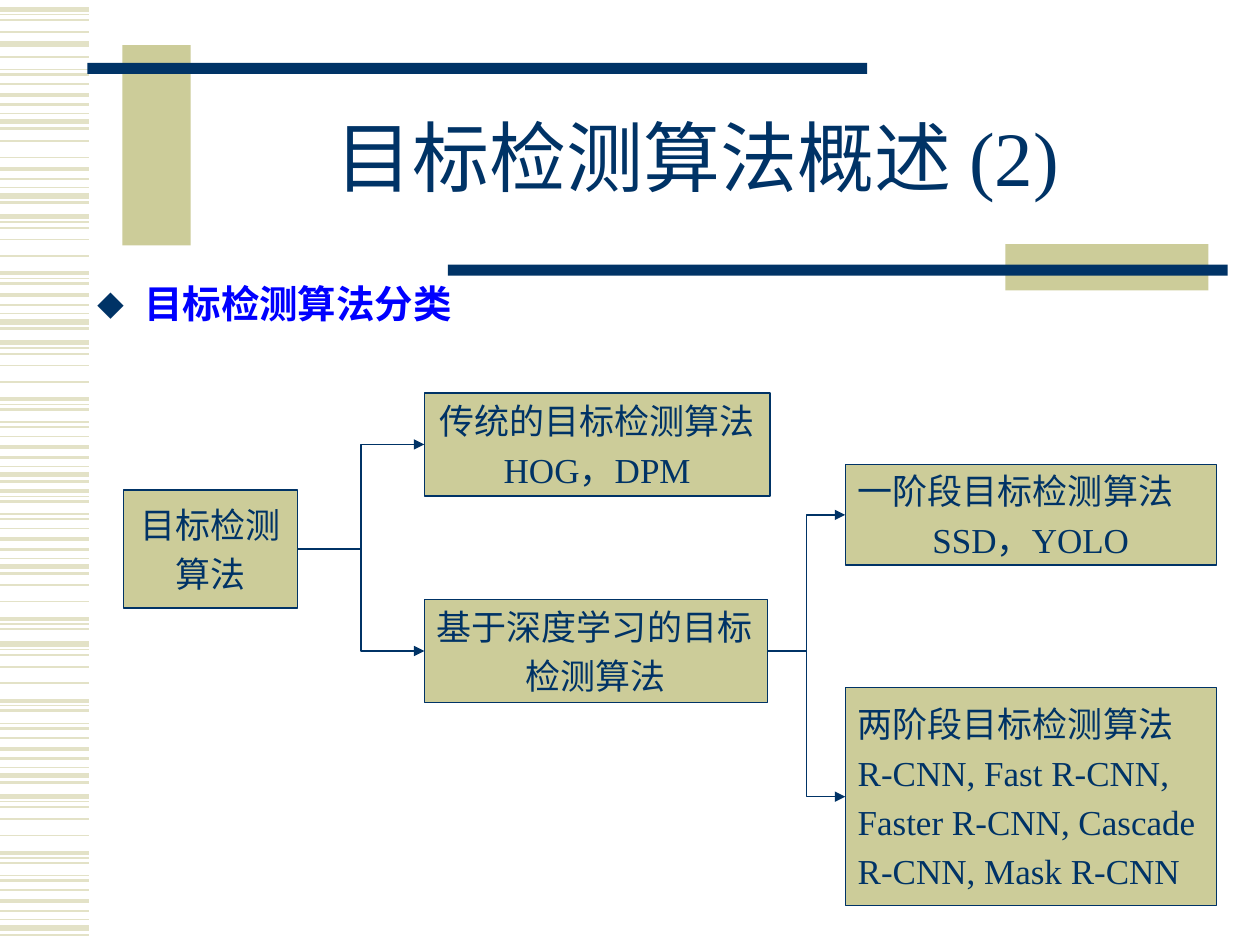
from lxml import etree
from pptx import Presentation
from pptx import util as u
from pptx.dml.color import RGBColor
from pptx.enum import shapes, text
from pptx.oxml.ns import qn

NAVY = RGBColor(0x00, 0x33, 0x66)
KHAKI = RGBColor(0xCC, 0xCC, 0x99)
PALE = RGBColor(0xE3, 0xE2, 0xC7)
BLUE = RGBColor(0x00, 0x00, 0xFF)
FONT = "Times New Roman"
Pt = u.Pt
LEFT, CENTER = text.PP_ALIGN.LEFT, text.PP_ALIGN.CENTER

TITLE = "目标检测算法概述 (2)"
HEADING = "目标检测算法分类"

BOXES = {
    "root": ((70.5, 280, 99.5, 67.5),
             [("目标检测", CENTER), ("算法", CENTER)]),
    "traditional": ((242.5, 224.5, 197.5, 59),
                    [("传统的目标检测算法", CENTER), ("HOG，DPM", CENTER)]),
    "deep": ((242.5, 342.5, 196, 59),
             [("基于深度学习的目标", LEFT), ("检测算法", CENTER)]),
    "one_stage": ((483, 265.5, 212, 57.5),
                  [("一阶段目标检测算法", LEFT), ("SSD，YOLO", CENTER)]),
    "two_stage": ((483, 393, 212, 124.5),
                  [("两阶段目标检测算法", LEFT), ("R-CNN, Fast R-CNN,", LEFT),
                   ("Faster R-CNN, Cascade", LEFT), ("R-CNN, Mask R-CNN", LEFT)]),
}
LINKS = [("root", "traditional"), ("root", "deep"),
         ("deep", "one_stage"), ("deep", "two_stage")]

BARS = [
    ((70, 25.75, 39, 114.5), KHAKI),
    ((50, 36, 445.5, 6.25), NAVY),
    ((574.5, 139.5, 116, 26.5), KHAKI),
    ((256, 151.25, 445.5, 6.25), NAVY),
]

# (offset, weight) of one stripe pattern, then (top, first, last) of each use
PATTERN = [(0, 3), (3, 0.75), (6.3, 1), (13, 1), (22.4, 1), (32.4, 2.25),
           (35.3, 0.75), (38.2, 1.5), (45.4, 0.75), (48.2, 1.5), (53.6, 1),
           (59.8, 2.25), (65.5, 1.5), (70.6, 0.75), (75.3, 3), (79.2, 1.5)]
STRIPES = [(5.3, 0, 3), (25.2, 0, 0), (-5.7, 7, 15), (67.6, 3, 4),
           (36.7, 11, 15), (123.8, 0, 7), (108.7, 11, 15), (195.8, 0, 15),
           (248.4, 5, 15), (321.3, 3, 7), (368, 0, 15), (455, 0, 15)]
STRIPE_WIDTH = 51


def place(sp, left, top, width, height):
    sp.left, sp.top, sp.width, sp.height = map(Pt, (left, top, width, height))


def add_run(p, words, size, color, bold=False):
    r = p.add_run()
    r.text = words
    r.font.name, r.font.size, r.font.bold = FONT, Pt(size), bold
    r.font.color.rgb = color


def add_line(s, kind, ends, color, weight):
    line = s.shapes.add_connector(kind, *map(Pt, ends))
    line.line.color.rgb = color
    line.line.width = Pt(weight)
    etree.SubElement(line._element.spPr, qn("a:effectLst"))
    return line


def add_rect(s, area, color):
    sp = s.shapes.add_shape(shapes.MSO_SHAPE.RECTANGLE, *map(Pt, area))
    sp.shadow.inherit = False
    sp.fill.solid()
    sp.fill.fore_color.rgb = color
    sp.line.fill.background()
    return sp


def add_box(s, area, lines):
    sp = add_rect(s, area, KHAKI)
    sp.line.color.rgb = NAVY
    sp.line.width = Pt(0.75)
    tf = sp.text_frame
    tf.word_wrap = True
    tf.vertical_anchor = text.MSO_ANCHOR.MIDDLE
    for i, (words, align) in enumerate(lines):
        p = tf.add_paragraph() if i else tf.paragraphs[0]
        p.alignment = align
        p.space_before = Pt(4 if i else 0)
        add_run(p, words, 20, NAVY)
    return sp


def add_decoration(s):
    for top, first, last in STRIPES:
        for offset, weight in PATTERN[first:last + 1]:
            y = top + offset
            add_line(s, shapes.MSO_CONNECTOR.STRAIGHT,
                     (0, y, STRIPE_WIDTH, y), PALE, weight)
    for area, color in BARS:
        add_rect(s, area, color)


def fill_title(sp):
    place(sp, 108, 48.25, 581, 90)
    tf = sp.text_frame
    tf.auto_size = text.MSO_AUTO_SIZE.NONE
    tf.vertical_anchor = text.MSO_ANCHOR.MIDDLE
    p = tf.paragraphs[0]
    p.alignment = CENTER
    p.line_spacing = 0.85
    add_run(p, TITLE, 44, NAVY)


def fill_heading(sp):
    place(sp, 48.25, 157, 646.5, 290)
    tf = sp.text_frame
    tf.auto_size = text.MSO_AUTO_SIZE.NONE
    tf.vertical_anchor = text.MSO_ANCHOR.TOP
    p = tf.paragraphs[0]
    p.alignment = LEFT
    p.line_spacing = Pt(26)
    p.space_before = Pt(0)
    pPr = p._p.get_or_add_pPr()
    pPr.set("marL", str(Pt(27)))
    pPr.set("indent", str(-Pt(27)))
    color = etree.SubElement(pPr, qn("a:buClr"))
    etree.SubElement(color, qn("a:srgbClr"), val=str(NAVY))
    etree.SubElement(pPr, qn("a:buChar"), char="⬥")
    add_run(p, HEADING, 22, BLUE, True)


def main():
    prs = Presentation()
    prs.slide_width, prs.slide_height = Pt(720), Pt(540)
    s = prs.slides.add_slide(prs.slide_layouts[1])
    title, body = s.placeholders
    add_decoration(s)
    for sp in (body, title):
        s.shapes._spTree.append(sp._element)
    fill_heading(body)
    fill_title(title)

    boxes = {name: add_box(s, *box) for name, box in BOXES.items()}
    for start, end in LINKS:
        link = add_line(s, shapes.MSO_CONNECTOR.ELBOW, (0, 0, 0, 0), NAVY, 0.75)
        link.begin_connect(boxes[start], 3)
        link.end_connect(boxes[end], 1)
        etree.SubElement(link.line._get_or_add_ln(), qn("a:tailEnd"), type="triangle")
    prs.save("out.pptx")


if __name__ == "__main__":
    main()
